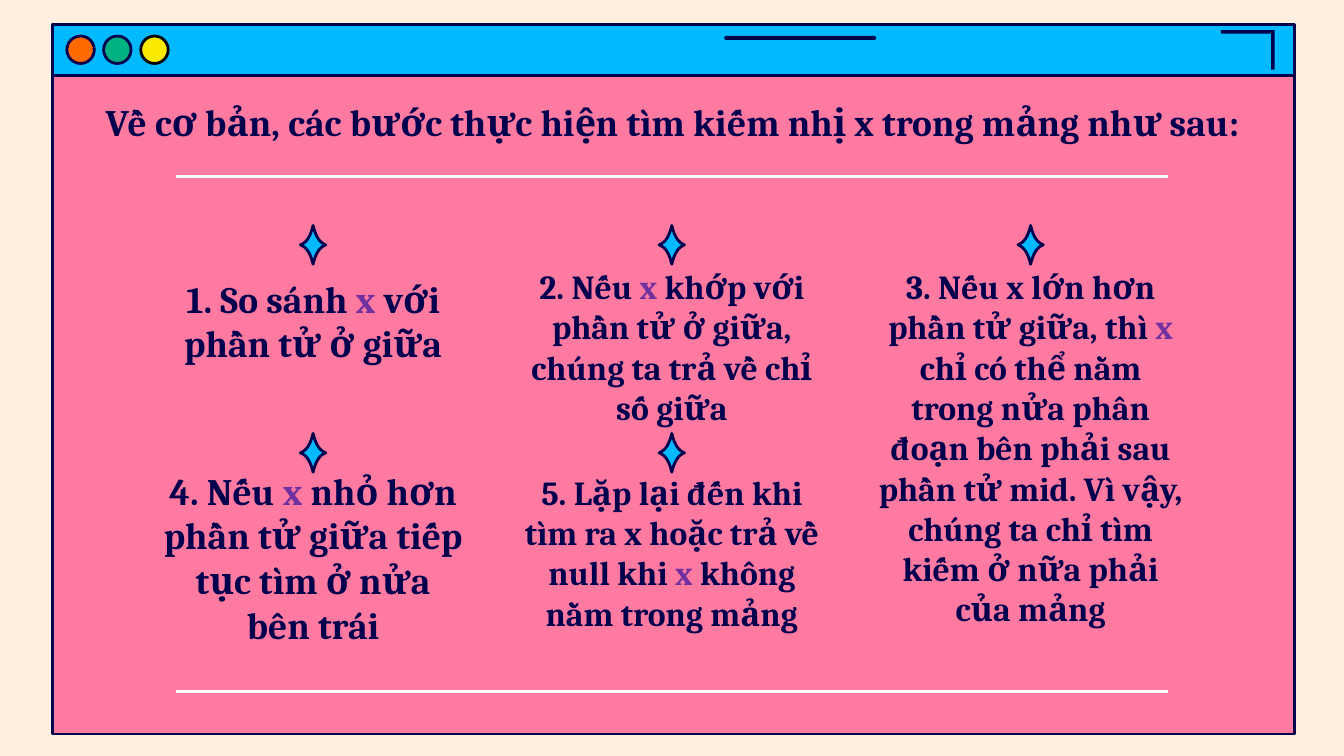
"""Build the slide listing the steps of binary search."""
from dataclasses import dataclass

from lxml import etree
from pptx import Presentation
from pptx.dml.color import RGBColor
from pptx.enum import shapes, text
from pptx.oxml import ns
from pptx.util import Pt

COLORS = {
    "cream": "FFEFE1", "pink": "FF7AA1", "blue": "00B9FF", "navy": "00004D",
    "black": "000000", "green": "00B181", "yellow": "FAEA00",
    "orange": "FF6A00", "purple": "7030A0", "white": "FFFFFF",
}
FONT = "Cambria"
INSET = 7.2
LINE_WIDTH = 1.5
COLUMN_LEFT, COLUMN_STEP, COLUMN_WIDTH = 79.2, 192.2, 177.1
STAR_ROWS = (131.2, 242.6)
STAR_WIDTH, STAR_HEIGHT = 6.8, 10.4


@dataclass
class Button:
    left: float
    fill: str
    line: str


@dataclass
class Step:
    column: int
    top: float
    height: float
    size: float
    spans: tuple[str, str, str]
    bottom_inset: float = INSET


BUTTONS = [
    Button(35.8, "orange", "navy"),
    Button(55.5, "green", "navy"),
    Button(75.4, "yellow", "black"),
]
STEPS = [
    Step(0, 141.8, 61.2, 20, ("1. So sánh ", "x ", "với phần tử ở giữa")),
    Step(1, 123.1, 139.7, 18, ("2. Nếu ", "x ", "khớp với phần tử ở giữa, chúng ta trả về chỉ số giữa"), 34),
    Step(2, 146.2, 224.6, 18, (
        "3. Nếu x lớn hơn phần tử giữa, thì ", "x ",
        "chỉ có thể nằm trong nửa phân đoạn bên phải sau phần tử mid. "
        "Vì vậy, chúng ta chỉ tìm kiếm ở nữa phải của mảng"), 34),
    Step(0, 298.8, 77.8, 20, ("4. Nếu ", "x ", "nhỏ hơn phần tử giữa tiếp tục tìm ở nửa bên trái"), 30),
    Step(1, 274.3, 72, 18, (
        "5. Lặp lại đến khi tìm ra x hoặc trả về null khi ", "x ",
        "không nằm trong mảng")),
]


def color(name: str) -> RGBColor:
    """Return the named colour."""
    return RGBColor.from_string(COLORS[name])


def paint(shape, fill: str, line: str | None = None) -> None:
    """Set a flat fill and an optional rounded outline."""
    shape.shadow.inherit = False
    shape.fill.solid()
    shape.fill.fore_color.rgb = color(fill)
    if line is None:
        shape.line.fill.background()
        return
    shape.line.color.rgb = color(line)
    shape.line.width = Pt(LINE_WIDTH)
    etree.SubElement(shape.line._get_or_add_ln(), ns.qn("a:round"))


def add_block(page, kind, left: float, top: float, width: float, height: float,
              fill: str, line: str | None = None):
    """Add a painted preset shape."""
    shape = page.shapes.add_shape(kind, Pt(left), Pt(top), Pt(width), Pt(height))
    paint(shape, fill, line)
    return shape


def add_outline(page, points: list[tuple[float, float]], fill: str,
                line: str | None = None) -> None:
    """Add a closed freeform through the points."""
    corners = [(Pt(x), Pt(y)) for x, y in points]
    builder = page.shapes.build_freeform(*corners[0])
    builder.add_line_segments(corners[1:], close=True)
    paint(builder.convert_to_shape(), fill, line)


def add_star(page, center_x: float, center_y: float) -> None:
    """Add a sparkle with four inward-curving sides."""
    steps = [index / 8 for index in range(9)]
    side = [(4 * t * (1 - t) + STAR_WIDTH * t * t,
             STAR_HEIGHT * (1 - t) ** 2 + 3.2 * t * (1 - t)) for t in steps]
    points = []
    for sign_x, sign_y in ((1, -1), (1, 1), (-1, 1), (-1, -1)):
        ordered = side if sign_x * sign_y < 0 else side[::-1]
        points += [(center_x + sign_x * x, center_y + sign_y * y)
                   for x, y in ordered[:-1]]
    add_outline(page, points, "blue", "navy")


def add_rule(page, top: float) -> None:
    """Add a white horizontal rule."""
    rule = page.shapes.add_connector(
        shapes.MSO_CONNECTOR.STRAIGHT, Pt(94.3), Pt(top), Pt(625.7), Pt(top))
    rule.line.color.rgb = color("white")
    rule.line.width = Pt(LINE_WIDTH)
    etree.SubElement(rule._element.spPr, ns.qn("a:effectLst"))


def add_text(page, left: float, top: float, width: float, height: float,
             size: float, spans: list[tuple[str, str]], anchor,
             bottom_inset: float = INSET) -> None:
    """Add a centred bold paragraph made of coloured spans."""
    box = page.shapes.add_textbox(Pt(left), Pt(top), Pt(width), Pt(height))
    frame = box.text_frame
    frame.word_wrap = True
    frame.vertical_anchor = anchor
    frame.margin_left = frame.margin_right = frame.margin_top = Pt(INSET)
    frame.margin_bottom = Pt(bottom_inset)
    para = frame.paragraphs[0]
    para.alignment = text.PP_ALIGN.CENTER
    for words, tint in spans:
        span = para.add_run()
        span.text = words
        span.font.name = FONT
        span.font.size = Pt(size)
        span.font.bold = True
        span.font.color.rgb = color(tint)


def add_window(page) -> None:
    """Add the window frame, its title bar and its buttons."""
    kinds = shapes.MSO_SHAPE
    add_block(page, kinds.RECTANGLE, 28.1, 13, 665.3, 380.2, "pink", "navy")
    add_block(page, kinds.RECTANGLE, 28.1, 13, 665.3, 27.4, "blue", "navy")
    add_outline(page, [(654, 16.2), (682.8, 16.2), (682.8, 37.3),
                       (681, 37.3), (681, 18), (654, 18)], "navy")
    bar = add_block(page, kinds.ROUNDED_RECTANGLE, 388, 19.3, 81.4, 2.1, "navy")
    bar.adjustments[0] = 0.5
    for button in BUTTONS:
        add_block(page, kinds.OVAL, button.left, 19.3, 14.7, 14.7,
                  button.fill, button.line)


def main() -> None:
    """Create and save the deck."""
    deck = Presentation()
    deck.slide_width, deck.slide_height = Pt(720), Pt(405)
    page = deck.slides.add_slide(deck.slide_layouts[6])
    page.background.fill.solid()
    page.background.fill.fore_color.rgb = color("cream")
    add_window(page)
    add_text(page, 48.2, 46.1, 624.2, 45.4, 20, [
        ("Về cơ bản, các bước thực hiện tìm kiếm nhị x trong mảng như sau:", "navy"),
    ], text.MSO_ANCHOR.TOP)
    for step in STEPS:
        add_text(page, COLUMN_LEFT + step.column * COLUMN_STEP, step.top,
                 COLUMN_WIDTH, step.height, step.size,
                 list(zip(step.spans, ("navy", "purple", "navy"))),
                 text.MSO_ANCHOR.BOTTOM, step.bottom_inset)
    for top in (94.5, 370.5):
        add_rule(page, top)
    for index in range(len(STEPS)):
        row, column = divmod(index, 3)
        center_x = COLUMN_LEFT + column * COLUMN_STEP + COLUMN_WIDTH / 2
        add_star(page, center_x, STAR_ROWS[row])
    deck.save("out.pptx")


if __name__ == "__main__":
    main()
